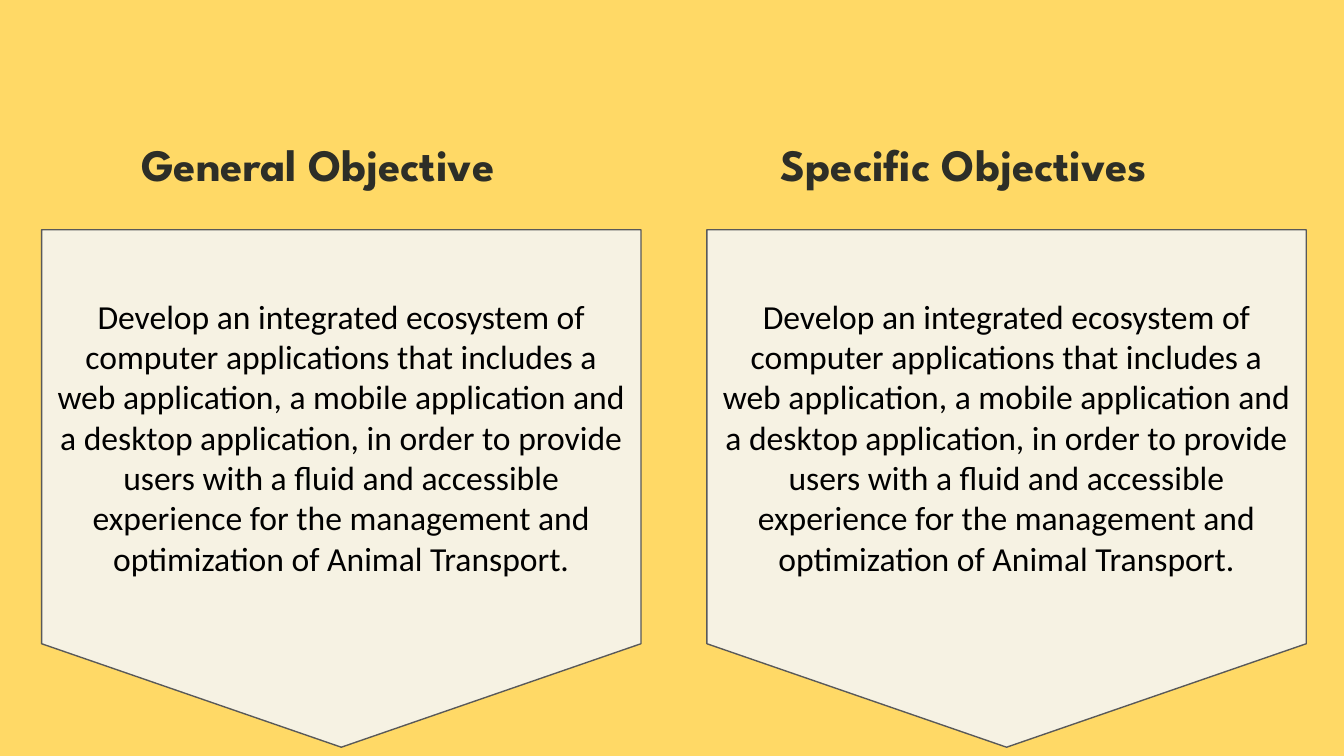
from pptx import Presentation
from pptx.dml.color import RGBColor
from pptx.enum import shapes, text
from pptx.util import Inches, Pt

YELLOW = RGBColor(0xFF, 0xD9, 0x66)
CREAM = RGBColor(0xF6, 0xF2, 0xE3)
GRAY = RGBColor(0x59, 0x59, 0x59)
CHARCOAL = RGBColor(0x2D, 0x2E, 0x27)
BLACK = RGBColor(0, 0, 0)

OBJECTIVE = (
    "Develop an integrated ecosystem of computer applications that includes "
    "a web application, a mobile application and a desktop application, in "
    "order to provide users with a fluid and accessible experience for the "
    "management and optimization of Animal Transport."
)


def write_text(shape, content, font_name, size, color, bold, align, anchor):
    frame = shape.text_frame
    frame.text = content
    frame.word_wrap = True
    frame.auto_size = text.MSO_AUTO_SIZE.NONE
    frame.vertical_anchor = anchor
    frame.margin_left = frame.margin_right = Inches(0.1)
    frame.margin_top = frame.margin_bottom = Inches(0.1)
    para = frame.paragraphs[0]
    para.alignment = align
    para.font.name = font_name
    para.font.size = Pt(size)
    para.font.bold = bold
    para.font.color.rgb = color


def format_heading(box, content, left, width):
    box.left, box.top = Inches(left), Inches(0.69)
    box.width, box.height = Inches(width), Inches(0.83)
    write_text(box, content, "League Spartan", 24, CHARCOAL, True,
               text.PP_ALIGN.LEFT, text.MSO_ANCHOR.BOTTOM)


def add_objective_card(slide, left, content):
    card = slide.shapes.add_shape(
        shapes.MSO_SHAPE.FLOWCHART_OFFPAGE_CONNECTOR,
        Inches(left), Inches(1.71), Inches(4.46), Inches(3.85))
    card.shadow.inherit = False
    card.fill.solid()
    card.fill.fore_color.rgb = CREAM
    card.line.color.rgb = GRAY
    card.line.width = Pt(0.75)
    write_text(card, content, "Calibri", 18, BLACK, False,
               text.PP_ALIGN.CENTER, text.MSO_ANCHOR.MIDDLE)


def main():
    deck = Presentation()
    deck.slide_width = Inches(10)
    deck.slide_height = deck.slide_width * 9 // 16
    title_only = deck.slide_layouts[5]
    slide = deck.slides.add_slide(title_only)
    slide.background.fill.solid()
    slide.background.fill.fore_color.rgb = YELLOW

    format_heading(slide.shapes.title, "General Objective", 0.95, 3.07)
    second_heading = slide.shapes.add_textbox(0, 0, 0, 0)
    format_heading(second_heading, "Specific Objectives", 5.71, 3.76)

    for left in (0.31, 5.26):
        add_objective_card(slide, left, OBJECTIVE)

    deck.save("out.pptx")


if __name__ == "__main__":
    main()
